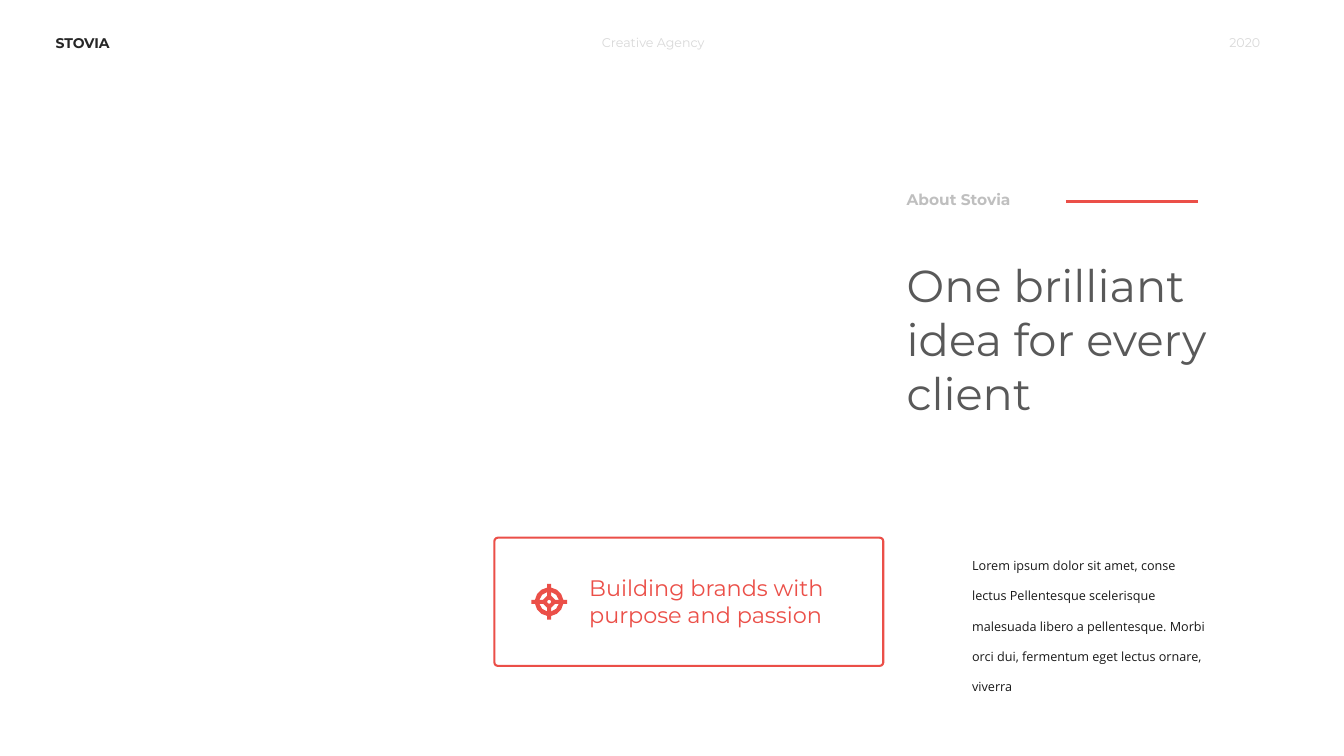
import math
from collections import namedtuple

from pptx import Presentation
from pptx.dml.color import RGBColor
from pptx.enum import shapes, text
from pptx.oxml import xmlchemy
from pptx.util import Cm, Pt

CORAL = RGBColor(0xEB, 0x4F, 0x48)
WHITE = RGBColor(0xFF, 0xFF, 0xFF)
INK = RGBColor(0x18, 0x18, 0x18)
CHARCOAL = RGBColor(0x26, 0x26, 0x26)
SLATE = RGBColor(0x59, 0x59, 0x59)
SILVER = RGBColor(0xBF, 0xBF, 0xBF)
MIST = RGBColor(0xD9, 0xD9, 0xD9)

# All box lengths are in centimetres
Box = namedtuple("Box", "left top width height")


def inside(box, left, top, width, height):
    return Box(box.left + left, box.top + top, width, height)


def add_text(page, box, words, size, color, name="Montserrat", bold=False,
             align=text.PP_ALIGN.LEFT, spacing=None):
    frame = page.shapes.add_textbox(*map(Cm, box)).text_frame
    frame.word_wrap = True
    frame.auto_size = text.MSO_AUTO_SIZE.SHAPE_TO_FIT_TEXT
    para = frame.paragraphs[0]
    para.alignment = align
    if spacing:
        para.line_spacing = spacing
    span = para.add_run()
    span.text = words
    for key, value in {"name": name, "size": Pt(size), "bold": bold}.items():
        setattr(span.font, key, value)
    span.font.color.rgb = color


def add_header(page, box):
    add_text(page, inside(box, 0, 0, 2.72, 0.69), "STOVIA", 10, CHARCOAL, bold=True)
    add_text(page, inside(box, 13.77, 0, 4.01, 0.64), "Creative Agency", 9, MIST)
    add_text(page, inside(box, box.width - 4.01, 0, 4.01, 0.64), "2020", 9, MIST,
             align=text.PP_ALIGN.RIGHT)


def add_about(page, box):
    # Label with accent rule
    add_text(page, inside(box, 0, 0, 3.3, 0.74), "About Stovia", 11, SILVER, bold=True)
    start, level = box.left + 4.26, box.top + 0.41
    rule = page.shapes.add_connector(shapes.MSO_CONNECTOR.STRAIGHT, Cm(start),
                                     Cm(level), Cm(start + 3.33), Cm(level))
    rule.line.color.rgb = CORAL
    rule.line.width = Pt(2.25)
    rule._element.spPr.append(xmlchemy.OxmlElement("a:effectLst"))

    # Headline and body copy
    add_text(page, inside(box, 0, 1.7, box.width, 4.37),
             "One brilliant idea for every client", 32, SLATE)
    add_text(page, inside(box, 1.65, 8.88, 6.55, 3.23),
             "Lorem ipsum dolor sit amet, conse lectus Pellentesque scelerisque "
             "malesuada libero a pellentesque. Morbi orci dui, fermentum eget "
             "lectus ornare, viverra", 9, INK, name="Open Sans", spacing=2.0)


def arc(radius, gap, quarter, steps):
    """Quarter arc that stops short of the axes by the given gap."""
    first = math.asin(gap / radius)
    sweep = math.pi / 2 - 2 * first
    angles = [quarter * math.pi / 2 + first + sweep * i / steps
              for i in range(steps + 1)]
    return [(radius * math.cos(a), radius * math.sin(a)) for a in angles]


def add_target(page, box):
    reach, half = box.width / 2, 0.05
    outer, rim, hub, pupil = 0.36, 0.25, 0.16, 0.05

    # Outline with four bars, then quarter windows and the centre hole
    outline, windows, centre = [], [], []
    for quarter in range(4):
        tip = math.hypot(reach, half)
        bar_start, bar_end = arc(tip, half, quarter, 1)
        outline += [bar_start, *arc(outer, half, quarter, 3), bar_end]
        windows.append(arc(rim, half, quarter, 2) + arc(hub, half, quarter, 1)[::-1])
        centre += arc(pupil, 0, quarter, 2)[:-1]

    middle_x, middle_y = box.left + reach, box.top + box.height / 2
    contours = [[(Cm(middle_x + x), Cm(middle_y + y)) for x, y in contour]
                for contour in [outline, *windows, centre]]
    builder = page.shapes.build_freeform(*contours[0][0])
    builder.add_line_segments(contours[0][1:], close=True)
    for contour in contours[1:]:
        builder.move_to(*contour[0])
        builder.add_line_segments(contour[1:], close=True)
    target = builder.convert_to_shape()
    target.shadow.inherit = False
    target.fill.solid()
    target.fill.fore_color.rgb = CORAL
    target.line.fill.background()


def add_card(page, box):
    frame = page.shapes.add_shape(shapes.MSO_SHAPE.ROUNDED_RECTANGLE, *map(Cm, box))
    frame.adjustments[0] = 0.027
    frame.shadow.inherit = False
    frame.fill.solid()
    frame.fill.fore_color.rgb = WHITE
    frame.line.color.rgb = CORAL
    frame.line.width = Pt(1.5)
    add_target(page, inside(box, 0.93, (box.height - 0.9) / 2, 0.9, 0.9))
    add_text(page, inside(box, 2.14, 0.8, 6.91, 1.63),
             "Building brands with purpose and passion", 16, CORAL)


def main():
    deck = Presentation()
    deck.slide_width, deck.slide_height = Cm(33.87), Cm(19.05)
    page = deck.slides.add_slide(deck.slide_layouts[6])
    add_header(page, Box(1.15, 0.75, 30.86, 0.69))
    add_about(page, Box(22.6, 4.67, 9.14, 12.12))
    add_card(page, Box(12.46, 13.55, 9.8, 3.23))
    deck.save("out.pptx")


if __name__ == "__main__":
    main()
